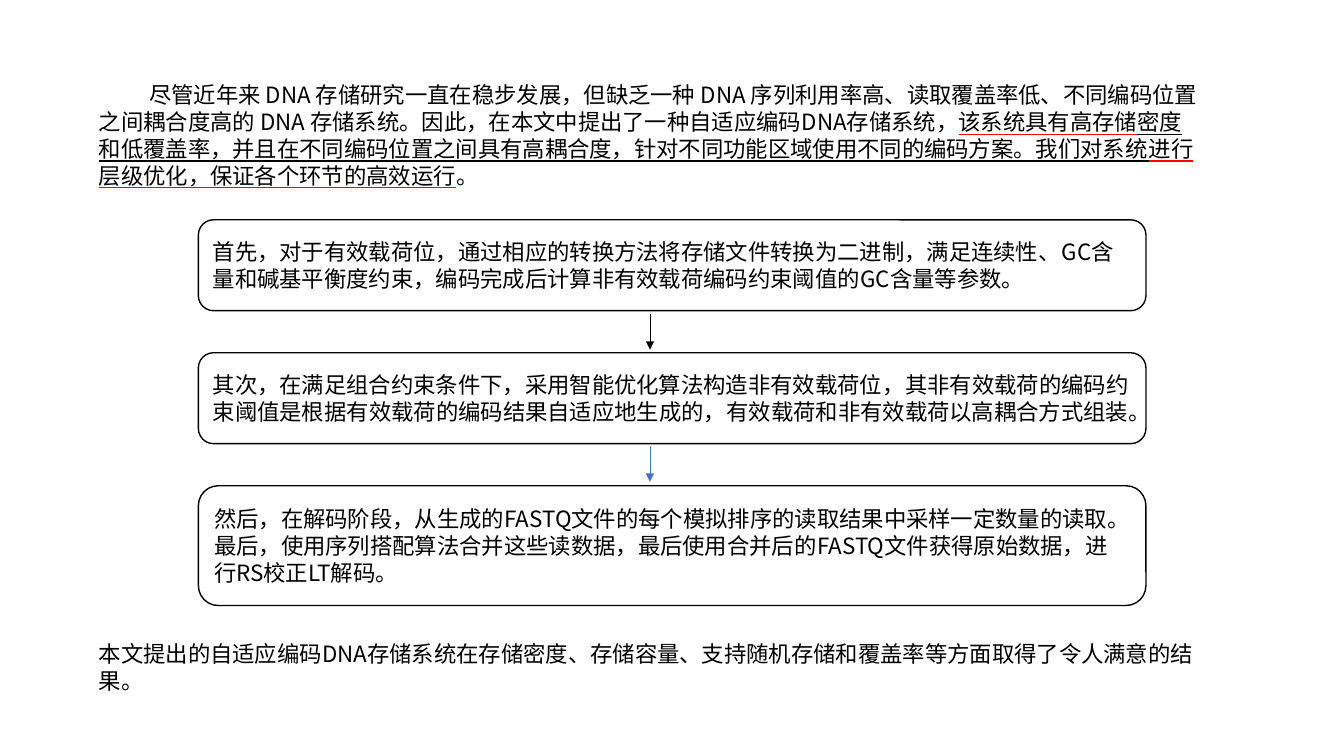
from lxml.etree import SubElement
from pptx import Presentation
from pptx.dml.color import RGBColor
from pptx.enum.shapes import MSO_CONNECTOR as Link, MSO_SHAPE as Preset
from pptx.enum.text import MSO_ANCHOR as Anchor, MSO_AUTO_SIZE as AutoSize, PP_ALIGN as Align
from pptx.oxml.ns import qn
from pptx.util import Cm, Pt

BLACK = RGBColor(0x00, 0x00, 0x00)
WHITE = RGBColor(0xFF, 0xFF, 0xFF)
RED = RGBColor(0xFF, 0x00, 0x00)
BLUE = RGBColor(0x44, 0x72, 0xC4)
CJK = "Noto Sans CJK SC"
LATIN = "Arial"

TEXT_LEFT, TEXT_WIDTH = 2.24, 28.24
STEP_LEFT, STEP_WIDTH = 5.0, 23.88
ARROW_X = 16.38

# Each piece of text: wording and its format
INTRO = [
    ("尽管近年来 DNA 存储研究一直在稳步发展，但缺乏一种 DNA 序列利用率高、读取覆盖率低、"
     "不同编码位置之间耦合度高的 DNA 存储系统。因此，在本文中提出了一种自适应编码DNA存储系统，", {}),
    ("该系统具有高存储", {"underline": RED}),
    ("密度和低覆盖率，并且在不同编码位置之间具有高耦合度，"
     "针对不同功能区域使用不同的编码方案。我们对系统", {"underline": BLACK}),
    ("进行层级优化，保证各个环节的高效运行", {"underline": RED}),
    ("。", {}),
]
ENCODE = [
    ("首先，对于有效载荷位，通过相应的转换方法将存储文件转换为二进制，满足连续性、GC含量和"
     "碱基平衡度约束，编码完成后计算非有效载荷编码约束阈值的GC含量等参数。", {}),
]
ASSEMBLE = [
    ("其次，在满足组合约束条件下，采用智能优化算法构造非有效载荷位，", {}),
    ("其", {"font": LATIN}),
    ("非有效载荷", {}),
    ("的编码约束阈值是根据", {"font": LATIN}),
    ("有效载荷", {}),
    ("的编码结果自适应地生成的，", {"font": LATIN}),
    ("有效载荷和非有效载荷以高耦合方式组装。", {}),
]
DECODE = [
    ("然后，在解码阶段，从生成的FASTQ文件的每个模拟排序的读取结果中采样一定数量的读取。"
     "最后，使用序列搭配算法合并这些读数据，最后使用合并后的FASTQ文件获得原始数据，"
     "进行RS校正LT解码。", {}),
]
CLOSING = [
    ("本文提出的自适应编码DNA存储系统在存储密度、存储容量、支持随机存储和覆盖率等方面"
     "取得了令人满意的结果。", {}),
]


def add_span(para, text, font=CJK, size=16, color=BLACK, underline=None):
    span = para.add_run()
    span.text = text
    span.font.size = Pt(size)
    span.font.color.rgb = color
    props = span.font._element
    if underline is not None:
        span.font.underline = True
        fill = SubElement(SubElement(props, qn("a:uFill")), qn("a:solidFill"))
        SubElement(fill, qn("a:srgbClr"), val=str(underline))
    span.font.name = font
    SubElement(props, qn("a:ea"), typeface=CJK)


def write(frame, pieces, indent=0):
    frame.word_wrap = True
    para = frame.paragraphs[0]
    para.alignment = Align.LEFT
    if indent:
        props = para._p.get_or_add_pPr()
        props.set("marL", "0")
        props.set("indent", str(Cm(indent)))
    for text, style in pieces:
        add_span(para, text, **style)


def add_passage(page, top, height, pieces, indent=0):
    box = page.shapes.add_textbox(Cm(TEXT_LEFT), Cm(top), Cm(TEXT_WIDTH), Cm(height))
    box.text_frame.auto_size = AutoSize.SHAPE_TO_FIT_TEXT
    write(box.text_frame, pieces, indent)


def add_step(page, top, height, pieces):
    box = page.shapes.add_shape(Preset.ROUNDED_RECTANGLE, Cm(STEP_LEFT), Cm(top),
                                Cm(STEP_WIDTH), Cm(height))
    box.shadow.inherit = False
    box.fill.solid()
    box.fill.fore_color.rgb = WHITE
    box.line.color.rgb = BLACK
    box.line.width = Pt(1)
    box.text_frame.vertical_anchor = Anchor.MIDDLE
    write(box.text_frame, pieces)


def add_arrow(page, top, bottom, color):
    arrow = page.shapes.add_connector(Link.STRAIGHT, Cm(ARROW_X), Cm(top),
                                      Cm(ARROW_X), Cm(bottom))
    arrow.line.color.rgb = color
    arrow.line.width = Pt(0.5)
    SubElement(arrow.line._get_or_add_ln(), qn("a:tailEnd"), type="triangle")
    SubElement(arrow._element.spPr, qn("a:effectLst"))


def main():
    deck = Presentation()
    deck.slide_width, deck.slide_height = Cm(33.87), Cm(19.05)
    page = deck.slides.add_slide(deck.slide_layouts[6])

    # Introduction
    add_passage(page, 1.93, 3.0, INTRO, indent=1.27)

    # Three steps of the method
    add_step(page, 5.54, 2.29, ENCODE)
    add_step(page, 8.89, 2.29, ASSEMBLE)
    add_step(page, 12.24, 3.02, DECODE)

    # Conclusion
    add_passage(page, 16.0, 1.63, CLOSING)

    # Arrows between the steps
    add_arrow(page, 7.92, 8.81, BLACK)
    add_arrow(page, 11.23, 12.14, BLUE)

    deck.save("out.pptx")


if __name__ == "__main__":
    main()
